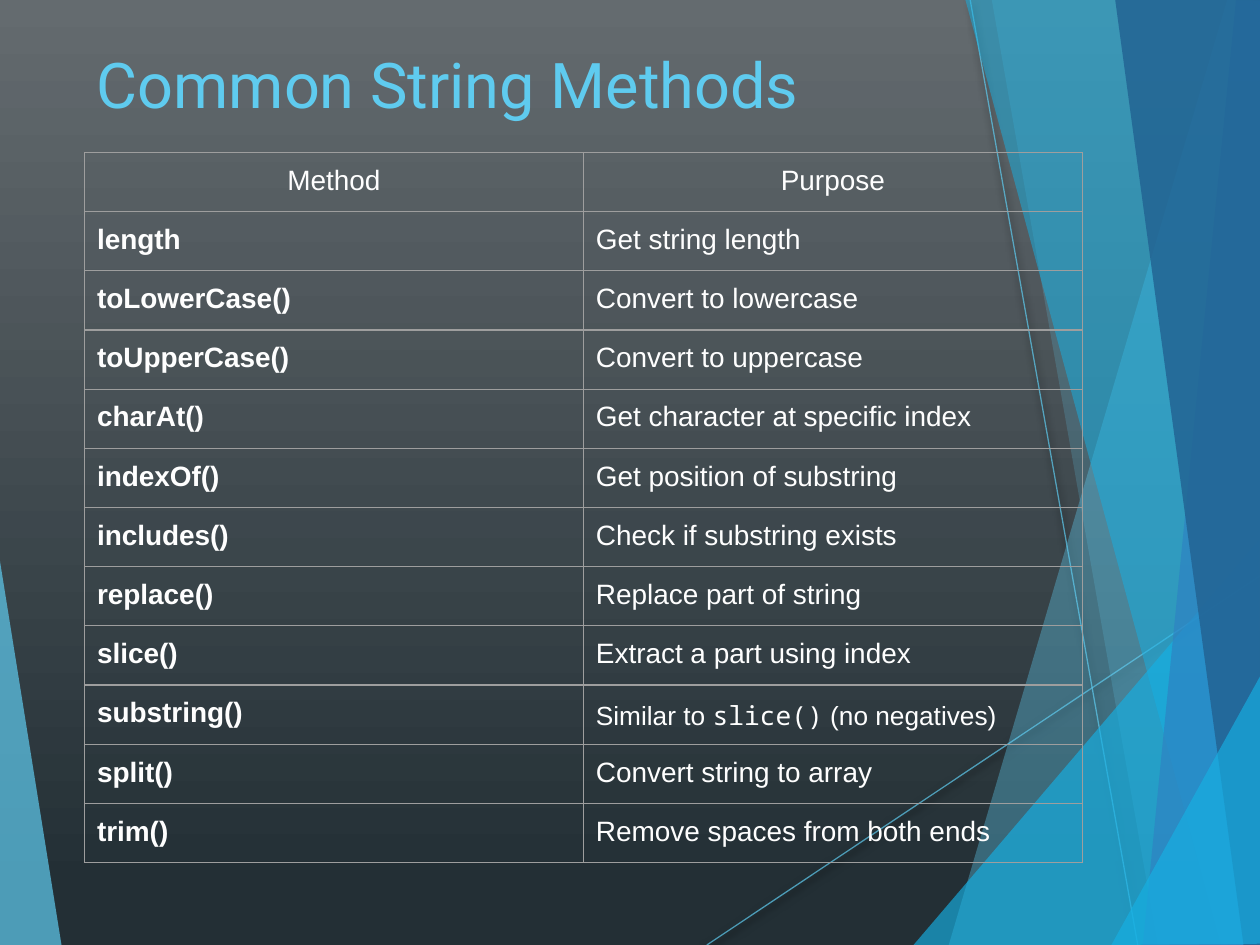
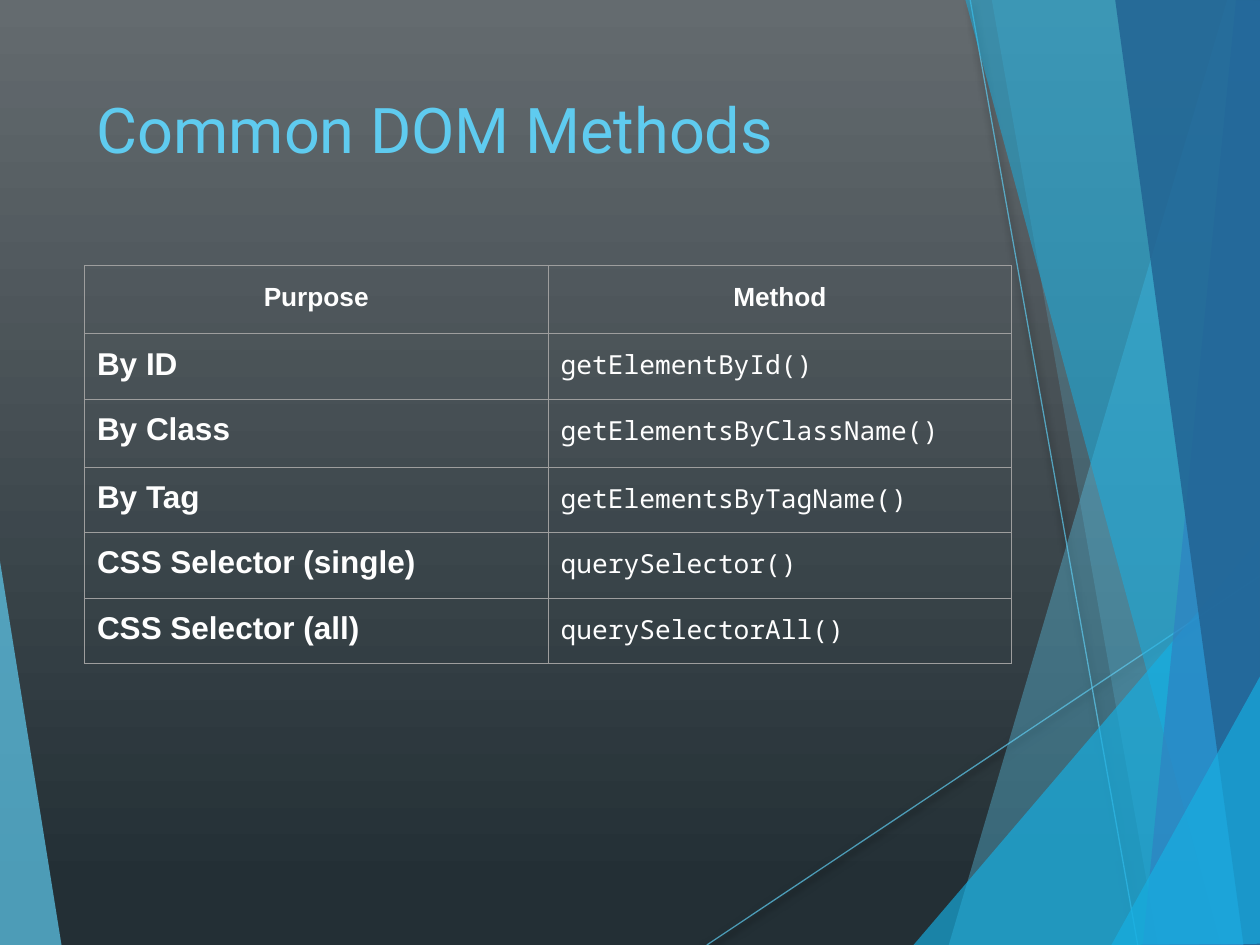
from dataclasses import dataclass

import lxml.etree
import pptx
import pptx.dml.color
import pptx.enum.shapes
import pptx.enum.text
import pptx.oxml.ns
import pptx.shapes.base
import pptx.slide
import pptx.table
import pptx.text.text
import pptx.util

Inches = pptx.util.Inches
Pt = pptx.util.Pt
RGBColor = pptx.dml.color.RGBColor
qn = pptx.oxml.ns.qn

SKY = RGBColor(0x5F, 0xCB, 0xEF)
CYAN = RGBColor(0x16, 0xB0, 0xE3)
BLUE = RGBColor(0x2E, 0x83, 0xC3)
NAVY = RGBColor(0x22, 0x62, 0x92)
SLATE_TOP = RGBColor(0x64, 0x6B, 0x6F)
SLATE_BOTTOM = RGBColor(0x23, 0x2F, 0x35)
CELL_TEXT = RGBColor(0xFE, 0xFE, 0xFE)
GRID = RGBColor(0x9E, 0x9E, 0x9E)
SHADOW = RGBColor(0x00, 0x00, 0x00)

TITLE_FONT = "Roboto"
BODY_FONT = "Arial"
CODE_FONT = "Noto Sans Mono"
MARGIN_LEFT = Inches(0.67)
RULE_WIDTH = Pt(0.75)


@dataclass(frozen=True)
class Facet:
    color: RGBColor
    opacity: int
    points: tuple[tuple[float, float], ...]


@dataclass(frozen=True)
class Ray:
    start: tuple[float, float]
    end: tuple[float, float]


@dataclass(frozen=True)
class Span:
    text: str
    size: float = 16
    font: str = BODY_FONT
    bold: bool = False


Cell = tuple[Span, ...]


@dataclass(frozen=True)
class MethodSlide:
    title: str
    title_top: float
    title_height: float
    table_top: float
    column_width: float
    row_heights: tuple[float, ...]
    header_spacing: float
    rows: tuple[tuple[Cell, Cell], ...]


LEFT_FACET = Facet(SKY, 70, ((-0.01, 4.39), (0.49, 7.51), (-0.01, 7.5)))
RAYS = (Ray((5.61, 7.5), (10, 4.57)), Ray((7.7, 0), (9.03, 7.5)))
RIGHT_FACETS = (
    Facet(SKY, 36, ((9.74, 0), (7.53, 7.5), (10.01, 7.51), (10, 0.01))),
    Facet(SKY, 20, ((7.87, -0.01), (9.19, 7.5), (10, 7.5), (10, -0.01))),
    Facet(CYAN, 66, ((7.25, 7.5), (9.99, 4.29), (10, 7.5))),
    Facet(CYAN, 50, ((7.66, -0.01), (9.69, 7.5), (10, 7.49), (10, -0.01))),
    Facet(BLUE, 70, ((9.81, -0.01), (9.07, 7.5), (10.01, 7.5), (10, -0.01))),
    Facet(NAVY, 82, ((8.85, -0.01), (9.87, 7.5), (10.01, 7.5), (10, -0.01))),
    Facet(CYAN, 66, ((8.82, 7.5), (10.01, 5.35), (10.01, 7.49))),
)

STRING_METHODS = (
    ("length", "Get string length"),
    ("toLowerCase()", "Convert to lowercase"),
    ("toUpperCase()", "Convert to uppercase"),
    ("charAt()", "Get character at specific index"),
    ("indexOf()", "Get position of substring"),
    ("includes()", "Check if substring exists"),
    ("replace()", "Replace part of string"),
    ("slice()", "Extract a part using index"),
    ("substring()", (
        Span("Similar to ", 15),
        Span("slice()", 15, CODE_FONT),
        Span(" (no negatives)", 15),
    )),
    ("split()", "Convert string to array"),
    ("trim()", "Remove spaces from both ends"),
)
DOM_METHODS = (
    ("By ID", "getElementById()"),
    ("By Class", "getElementsByClassName()"),
    ("By Tag", "getElementsByTagName()"),
    ("CSS Selector (single)", "querySelector()"),
    ("CSS Selector (all)", "querySelectorAll()"),
)

SLIDES = (
    MethodSlide(
        title="Common String Methods",
        title_top=0.31,
        title_height=0.9,
        table_top=1.21,
        column_width=3.96,
        row_heights=(0.47,) * 12,
        header_spacing=1.0,
        rows=(
            ((Span("Method"),), (Span("Purpose"),)),
            *(
                (
                    (Span(method, bold=True),),
                    (Span(purpose),) if isinstance(purpose, str) else purpose,
                )
                for method, purpose in STRING_METHODS
            ),
        ),
    ),
    MethodSlide(
        title="Common DOM Methods",
        title_top=0.67,
        title_height=0.88,
        table_top=2.11,
        column_width=3.68,
        row_heights=(0.54, 0.52, 0.54, 0.52, 0.52, 0.52),
        header_spacing=1.15,
        rows=(
            ((Span("Purpose", 15, bold=True),), (Span("Method", 15, bold=True),)),
            *(
                ((Span(purpose, 18, bold=True),), (Span(method, 15, CODE_FONT),))
                for purpose, method in DOM_METHODS
            ),
        ),
    ),
)


def add_text(
    paragraph: pptx.text.text._Paragraph,
    text: str,
    *,
    size: float,
    font: str,
    color: RGBColor,
    bold: bool = False,
) -> None:
    run = paragraph.add_run()
    run.text = text
    run.font.size = Pt(size)
    run.font.name = font
    run.font.bold = bold
    run.font.color.rgb = color


def set_opacity(shape: pptx.shapes.base.BaseShape, percent: int) -> None:
    for color in shape.element.spPr.iter(qn("a:srgbClr")):
        lxml.etree.SubElement(color, qn("a:alpha"), val=str(percent * 1000))


def paint_background(slide: pptx.slide.Slide) -> None:
    fill = slide.background.fill
    fill.gradient()
    fill.gradient_angle = 270
    stops = ((0, SLATE_TOP), (0.94, SLATE_BOTTOM))
    for stop, (position, color) in zip(fill.gradient_stops, stops):
        stop.position = position
        stop.color.rgb = color


def add_facet(slide: pptx.slide.Slide, facet: Facet) -> None:
    first, *others = [(Inches(x), Inches(y)) for x, y in facet.points]
    builder = slide.shapes.build_freeform(*first)
    builder.add_line_segments(others, close=True)
    shape = builder.convert_to_shape()
    shape.shadow.inherit = False
    shape.fill.solid()
    shape.fill.fore_color.rgb = facet.color
    shape.line.fill.background()
    set_opacity(shape, facet.opacity)


def add_ray(slide: pptx.slide.Slide, ray: Ray) -> None:
    """Draw a thin translucent line with a soft shadow below it."""
    line = slide.shapes.add_connector(
        pptx.enum.shapes.MSO_CONNECTOR.STRAIGHT,
        *(Inches(value) for value in ray.start + ray.end),
    )
    line.line.color.rgb = SKY
    line.line.width = RULE_WIDTH
    set_opacity(line, 70)
    effects = lxml.etree.SubElement(line.element.spPr, qn("a:effectLst"))
    shadow = lxml.etree.SubElement(
        effects, qn("a:outerShdw"),
        blurRad=str(Pt(4)), dist=str(Pt(2)), dir=str(90 * 60000), rotWithShape="0",
    )
    lxml.etree.SubElement(shadow, qn("a:srgbClr"), val=str(SHADOW))


def add_backdrop(slide: pptx.slide.Slide) -> None:
    paint_background(slide)
    add_facet(slide, LEFT_FACET)
    for ray in RAYS:
        add_ray(slide, ray)
    for facet in RIGHT_FACETS:
        add_facet(slide, facet)


def add_title(slide: pptx.slide.Slide, content: MethodSlide) -> None:
    title = slide.shapes.add_textbox(
        MARGIN_LEFT, Inches(content.title_top),
        Inches(6.94), Inches(content.title_height),
    )
    title.text_frame.word_wrap = True
    add_text(title.text_frame.paragraphs[0], content.title,
             size=36, font=TITLE_FONT, color=SKY)


def outline_cell(cell: pptx.table._Cell) -> None:
    properties = cell._tc.get_or_add_tcPr()
    for side in ("lnL", "lnR", "lnT", "lnB"):
        border = lxml.etree.SubElement(
            properties, qn(f"a:{side}"), w=str(RULE_WIDTH))
        fill = lxml.etree.SubElement(border, qn("a:solidFill"))
        lxml.etree.SubElement(fill, qn("a:srgbClr"), val=str(GRID))


def add_method_table(slide: pptx.slide.Slide, content: MethodSlide) -> None:
    table = slide.shapes.add_table(
        len(content.rows), 2, MARGIN_LEFT, Inches(content.table_top),
        Inches(2 * content.column_width), Inches(sum(content.row_heights)),
    ).table
    table.first_row = False
    table.horz_banding = False
    for column in table.columns:
        column.width = Inches(content.column_width)
    for row_index, (row, height) in enumerate(zip(table.rows, content.row_heights)):
        row.height = Inches(height)
        for cell, spans in zip(row.cells, content.rows[row_index]):
            outline_cell(cell)
            cell.fill.background()
            cell.margin_left = cell.margin_right = Inches(0.1)
            cell.margin_top = cell.margin_bottom = Inches(0.1)
            paragraph = cell.text_frame.paragraphs[0]
            if row_index == 0:
                paragraph.alignment = pptx.enum.text.PP_ALIGN.CENTER
                paragraph.line_spacing = content.header_spacing
            for span in spans:
                add_text(paragraph, span.text, size=span.size, font=span.font,
                         color=CELL_TEXT, bold=span.bold)


def main() -> None:
    presentation = pptx.Presentation()
    presentation.slide_width = Inches(10)
    presentation.slide_height = Inches(7.5)
    blank = presentation.slide_layouts[6]
    for content in SLIDES:
        slide = presentation.slides.add_slide(blank)
        add_backdrop(slide)
        add_title(slide, content)
        add_method_table(slide, content)
    presentation.save("out.pptx")


if __name__ == "__main__":
    main()
